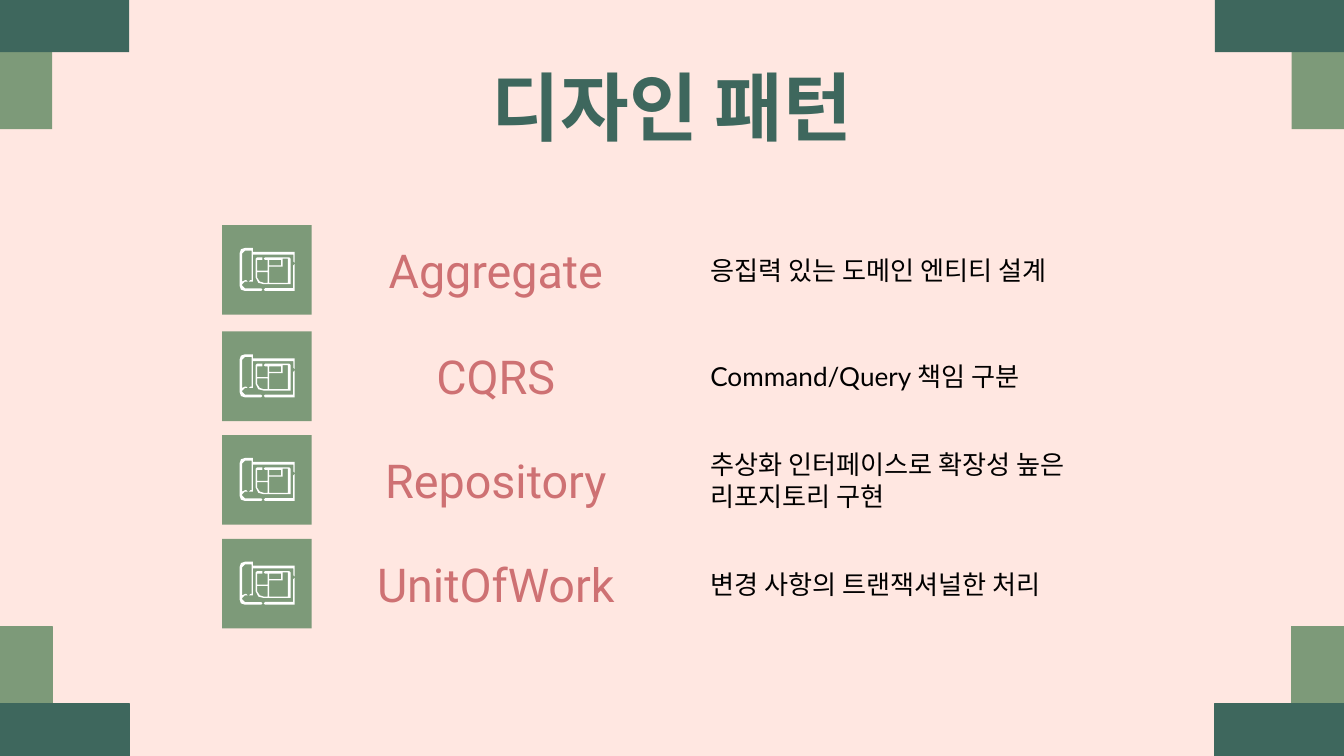
from dataclasses import dataclass

from pptx import Presentation
from pptx.dml.color import RGBColor
from pptx.enum.shapes import MSO_SHAPE
from pptx.enum.text import MSO_ANCHOR, PP_ALIGN
from pptx.util import Pt

COLORS = {
    "background": "FFE7E1",
    "dark": "3E675D",
    "sage": "7D9A79",
    "rose": "CE7173",
    "white": "FFFFFF",
    "black": "000000",
}
WIDTH, HEIGHT = 720, 405
TILE = 48
TILE_LEFT = 119
CORNER_LONG, CORNER_SHORT = 69.2, 28
INSET = 7.2

# Blueprint icon: outlines on a grid of 0.72 pt, measured from the tile corner
ICON_UNIT = 0.72
SHEET_EDGE = [[(54, 29), (53, 30), (53, 47), (32, 47), (31, 48), (32, 49), (54, 49)]]
ROLL = [[
    (17, 17), (14, 18), (13, 21), (13, 45), (14, 48), (17, 49), (29, 49), (30, 48),
    (29, 47), (17, 47), (15, 45), (15, 44), (17, 42), (18, 42), (19, 42), (18, 41),
    (17, 41), (15, 42), (15, 21), (17, 19), (22, 19), (22, 41), (21, 41), (20, 42),
    (23, 42), (23, 22), (53, 22), (53, 27), (54, 28), (54, 20), (23, 20), (23, 17),
]]
FLOOR_PLAN = [
    [(44, 26), (44, 30), (35, 30), (35, 26)],
    [(34, 35), (34, 43), (31, 43), (28, 42), (26, 39), (26, 35)],
    [(49, 25), (49, 43), (35, 43), (35, 31), (45, 31), (45, 25)],
    [(26, 24), (25, 25), (25, 39), (27, 43), (31, 44), (50, 44), (51, 44), (51, 25),
     (50, 24), (32, 24), (31, 25), (32, 26), (34, 26), (34, 34), (26, 34), (26, 26),
     (30, 26), (30, 24)],
]


@dataclass
class Pattern:
    top: float
    name: str
    description: str
    width: float = 250.6


@dataclass
class Style:
    font: str
    size: float
    color: str
    align: PP_ALIGN
    bold: bool = False


PATTERNS = [
    Pattern(120.6, "Aggregate", "응집력 있는 도메인 엔티티 설계"),
    Pattern(177.6, "CQRS", "Command/Query 책임 구분"),
    Pattern(233.1, "Repository", "추상화 인터페이스로 확장성 높은\n리포지토리 구현", 264.2),
    Pattern(288.7, "UnitOfWork", "변경 사항의 트랜잭셔널한 처리"),
]
TITLE = Style("Roboto", 40, "dark", PP_ALIGN.CENTER, True)
NAME = Style("Roboto", 25, "rose", PP_ALIGN.CENTER)
DESCRIPTION = Style("Lato", 14, "black", PP_ALIGN.LEFT)


def rgb(name: str) -> RGBColor:
    return RGBColor.from_string(COLORS[name])


def paint(sp, color: str, line: float = 0) -> None:
    sp.shadow.inherit = False
    sp.fill.solid()
    sp.fill.fore_color.rgb = rgb(color)
    if line:
        sp.line.color.rgb = rgb(color)
        sp.line.width = Pt(line)
    else:
        sp.line.fill.background()


def add_rect(s, x: float, y: float, w: float, h: float, color: str, line: float = 0) -> None:
    sp = s.shapes.add_shape(MSO_SHAPE.RECTANGLE, Pt(x), Pt(y), Pt(w), Pt(h))
    paint(sp, color, line)


def add_text(s, x: float, y: float, w: float, h: float, text: str, style: Style) -> None:
    tf = s.shapes.add_textbox(Pt(x), Pt(y), Pt(w), Pt(h)).text_frame
    tf.word_wrap = True
    tf.vertical_anchor = MSO_ANCHOR.MIDDLE
    tf.margin_left = tf.margin_right = tf.margin_top = tf.margin_bottom = Pt(INSET)
    tf.text = text
    for p in tf.paragraphs:
        p.alignment = style.align
        for r in p.runs:
            r.font.name = style.font
            r.font.size = Pt(style.size)
            r.font.bold = style.bold
            r.font.color.rgb = rgb(style.color)


def add_icon(s, x: float, y: float) -> None:
    group = s.shapes.add_group_shape()
    for contours in (SHEET_EDGE, ROLL, FLOOR_PLAN):
        first, *others = contours
        builder = group.shapes.build_freeform(*first[0], scale=Pt(ICON_UNIT))
        builder.add_line_segments(first[1:], close=True)
        for contour in others:
            builder.move_to(*contour[0])
            builder.add_line_segments(contour[1:], close=True)
        paint(builder.convert_to_shape(Pt(x), Pt(y)), "white")


def add_corners(s) -> None:
    for bottom in (False, True):
        line = 0.75 if bottom else 0
        for right in (False, True):
            for w, h, color in ((CORNER_SHORT, CORNER_LONG, "sage"),
                                (CORNER_LONG, CORNER_SHORT, "dark")):
                x = WIDTH - w if right else 0
                y = HEIGHT - h if bottom else 0
                add_rect(s, x, y, w, h, color, line)


def main() -> None:
    prs = Presentation()
    prs.slide_width, prs.slide_height = Pt(WIDTH), Pt(HEIGHT)
    s = prs.slides.add_slide(prs.slide_layouts[6])
    s.background.fill.solid()
    s.background.fill.fore_color.rgb = rgb("background")

    # Corner blocks and title
    add_corners(s)
    add_text(s, 56.7, 37.6, 606.6, 38.2, "디자인 패턴", TITLE)

    # One row per pattern: icon tile, name, description
    for row in PATTERNS:
        add_rect(s, TILE_LEFT, row.top, TILE, TILE, "sage")
        add_icon(s, TILE_LEFT, row.top)
        add_text(s, 189.6, row.top, 152, TILE, row.name, NAME)
        add_text(s, 373.4, row.top, row.width, TILE, row.description, DESCRIPTION)

    prs.save("out.pptx")


if __name__ == "__main__":
    main()
